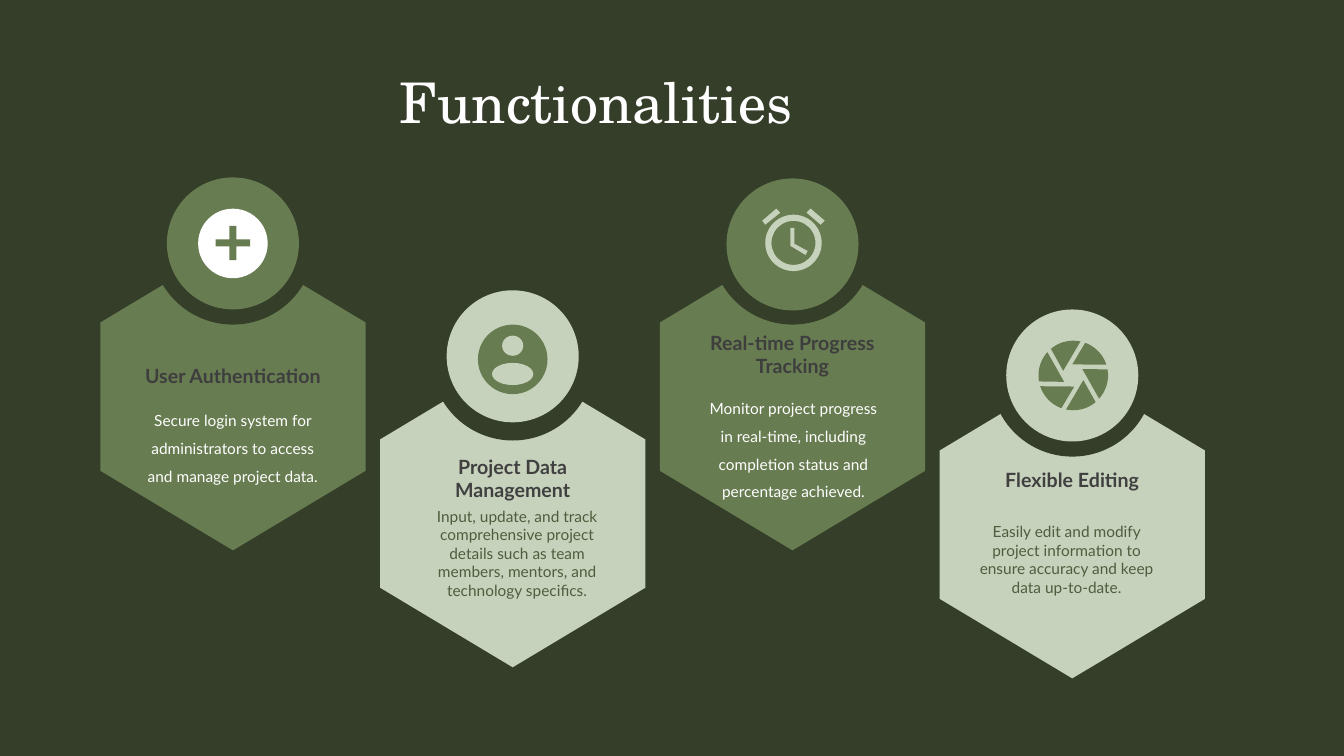
"""Build the Functionalities slide: four hexagon cards with icons and text."""
from math import cos, radians, sin

from pptx import Presentation
from pptx.dml.color import RGBColor
from pptx.enum.shapes import MSO_SHAPE
from pptx.enum.text import MSO_ANCHOR, PP_ALIGN
from pptx.util import Inches, Pt

DARK = RGBColor(0x34, 0x3E, 0x29)
GREEN = RGBColor(0x68, 0x7C, 0x51)
PALE = RGBColor(0xC7, 0xD2, 0xBC)
MOSS = RGBColor(0x4E, 0x5D, 0x3D)
GREY = RGBColor(0x3E, 0x3E, 0x3E)
ASH = RGBColor(0x40, 0x40, 0x40)
WHITE = RGBColor(0xFF, 0xFF, 0xFF)

FIRST, STEP = 2.31, 2.775
HEX_W, HEX_H = 3.05, 2.63
RING, DISC, ICON = 1.62, 1.31, 0.69
WIDE = 1.8

deck = Presentation()
deck.slide_width, deck.slide_height = Inches(13.33), Inches(7.5)
slide = deck.slides.add_slide(deck.slide_layouts[6])
slide.background.fill.solid()
slide.background.fill.fore_color.rgb = DARK


def paint(shape, color):
    shape.fill.solid()
    shape.fill.fore_color.rgb = color
    shape.line.fill.background()
    shape.shadow.inherit = False
    return shape


def place(kind, mid, top, wide, high, color):
    """Add a filled preset shape centred on mid."""
    shape = slide.shapes.add_shape(
        kind, Inches(mid - wide / 2), Inches(top), Inches(wide), Inches(high))
    return paint(shape, color)


cards = [
    (2.62, 1.6, 1.76, GREEN, GREY, WHITE, 1.5,
     "User Authentication", 3.61, 0.24,
     "Secure login system for administrators to access and manage project data.",
     2.31, 3.99, 0.8),
    (3.78, 2.75, 2.88, PALE, ASH, MOSS, 1,
     "Project Data Management", 4.51, 0.47,
     "Input, update, and track comprehensive project details such as team "
     "members, mentors, and technology specifics.",
     5.13, 5.03, 0.93),
    (2.62, 1.6, 1.77, GREEN, GREY, WHITE, 1.5,
     "Real-time Progress Tracking", 3.28, 0.47,
     "Monitor project progress in real-time, including completion status and "
     "percentage achieved.",
     7.87, 3.87, 1.07),
    (3.89, 2.91, 3.07, PALE, ASH, MOSS, 1,
     "Flexible Editing", 4.64, 0.24,
     "Easily edit and modify project information to ensure accuracy and keep "
     "data up-to-date.",
     10.58, 5.18, 0.98),
]

texts = [("Functionalities", 5.91, 0.72, 11.25, 0.62, 40, "TeX Gyre Schola",
          WHITE, False, Pt(44), MSO_ANCHOR.MIDDLE)]
for col, card in enumerate(cards):
    (top, ring, disc, fill, ink, tone, space,
     head, head_top, head_high, body, body_mid, body_top, body_high) = card
    mid = FIRST + col * STEP
    cell = place(MSO_SHAPE.HEXAGON, mid, top, HEX_W, HEX_H, fill)
    cell.adjustments[0] = 0.3
    cell.rotation = 90
    place(MSO_SHAPE.OVAL, mid, ring, RING, RING, DARK)
    place(MSO_SHAPE.OVAL, mid, disc, DISC, DISC, fill)
    texts += [
        (head, mid, head_top, WIDE, head_high, 14, "Lato", ink, True, 1,
         MSO_ANCHOR.TOP),
        (body, body_mid, body_top, WIDE, body_high, 11, "Lato", tone, False,
         space, MSO_ANCHOR.TOP),
    ]

plus, user, clock, lens = [FIRST + col * STEP for col in range(4)]

place(MSO_SHAPE.OVAL, plus, 2.07, ICON, ICON, WHITE)
cross = place(MSO_SHAPE.CROSS, plus, 2.24, 0.34, 0.34, GREEN)
cross.adjustments[0] = 0.4

place(MSO_SHAPE.OVAL, user, 3.22, ICON, ICON, GREEN)
place(MSO_SHAPE.OVAL, user, 3.33, 0.21, 0.2, PALE)
place(MSO_SHAPE.OVAL, user, 3.6, 0.41, 0.22, PALE)

dial = place(MSO_SHAPE.DONUT, clock + 0.01, 2.13, 0.56, 0.56, PALE)
dial.adjustments[0] = 0.11
parts = [
    (PALE, [(7.88, 2.26), (7.88, 2.42), (8.01, 2.49), (7.99, 2.53),
            (7.84, 2.44), (7.84, 2.26)]),
    (PALE, [(7.74, 2.11), (7.59, 2.23), (7.56, 2.19), (7.7, 2.07)]),
    (PALE, [(8.18, 2.19), (8.14, 2.23), (8, 2.11), (8.04, 2.07)]),
]

rim = [(ICON / 2 * cos(radians(deg)), ICON / 2 * sin(radians(deg)))
       for deg in range(-70, -17, 4)]
for turn in range(0, 360, 60):
    c, s = cos(radians(turn)), sin(radians(turn))
    parts.append((GREEN, [(lens + 0.01 + x * c - y * s, 3.725 + x * s + y * c)
                          for x, y in [(-0.01, -0.11)] + rim]))

for color, dots in parts:
    dots = [(Inches(x), Inches(y)) for x, y in dots]
    form = slide.shapes.build_freeform(*dots[0])
    form.add_line_segments(dots[1:], close=True)
    paint(form.convert_to_shape(), color)

for words, mid, top, wide, high, size, face, color, bold, space, anchor in texts:
    box = slide.shapes.add_textbox(
        Inches(mid - wide / 2), Inches(top), Inches(wide), Inches(high))
    frame = box.text_frame
    frame.word_wrap = True
    frame.vertical_anchor = anchor
    frame.margin_left = frame.margin_right = 0
    frame.margin_top = frame.margin_bottom = 0
    para = frame.paragraphs[0]
    para.text = words
    para.alignment = PP_ALIGN.CENTER
    para.line_spacing = space
    para.font.size = Pt(size)
    para.font.name = face
    para.font.bold = bold
    para.font.color.rgb = color

deck.save("out.pptx")
